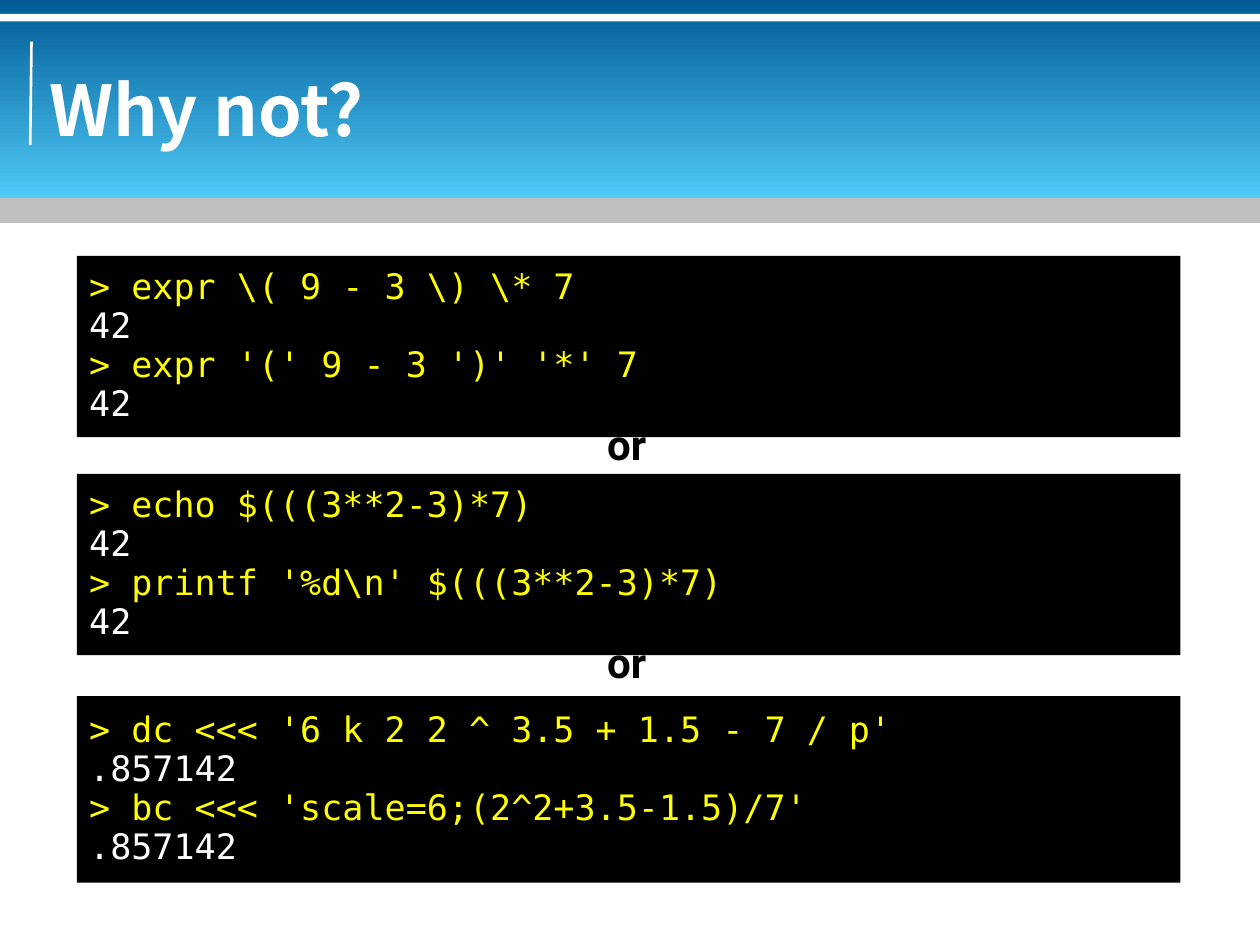
from pptx import Presentation
from pptx.dml.color import RGBColor
from pptx.enum.shapes import MSO_CONNECTOR, MSO_SHAPE
from pptx.enum.text import MSO_ANCHOR, PP_ALIGN
from pptx.oxml.ns import qn
from pptx.util import Inches, Pt

SLIDE_WIDTH, SLIDE_HEIGHT = Inches(10), Inches(7.5)
LINE_SPACING = 0.93

# Lengths are percentages of the slide's width or height.
TERMINAL_LEFT, TERMINAL_WIDTH = 6.1, 87.6
FIRST_TERMINAL_TOP, TERMINAL_STEP = 27.07, 23.07
FIRST_OR_TOP = 44.13

SESSIONS = [
    (0, 19.2, [(r"> expr \( 9 - 3 \) \* 7", "42"),
               ("> expr '(' 9 - 3 ')' '*' 7", "42")]),
    (1, 19.2, [("> echo $(((3**2-3)*7)", "42"),
               (r"> printf '%d\n' $(((3**2-3)*7)", "42")]),
    (2.02, 19.73, [("> dc <<< '6 k 2 2 ^ 3.5 + 1.5 - 7 / p'", ".857142"),
                   ("> bc <<< 'scale=6;(2^2+3.5-1.5)/7'", ".857142")]),
]


def across(share):
    return round(SLIDE_WIDTH * share / 100)


def down(share):
    return round(SLIDE_HEIGHT * share / 100)


def area(left, top, width, height):
    return across(left), down(top), across(width), down(height)


def color(hex_value):
    return RGBColor.from_string(hex_value)


def style_paragraph(paragraph, text, font_name, size, hex_value, bold=False):
    paragraph.text = text
    paragraph.alignment = PP_ALIGN.LEFT
    paragraph.line_spacing = LINE_SPACING
    font = paragraph.font
    font.name, font.size, font.bold = font_name, Pt(size), bold
    font.color.rgb = color(hex_value)


def add_band(slide, bounds, *fills):
    """Add a borderless rectangle; two fills make a top-to-bottom gradient."""
    band = slide.shapes.add_shape(MSO_SHAPE.RECTANGLE, *area(*bounds))
    band.shadow.inherit = False
    band.line.fill.background()
    if len(fills) == 1:
        band.fill.solid()
        band.fill.fore_color.rgb = color(fills[0])
    else:
        band.fill.gradient()
        band.fill.gradient_angle = 270
        for position, (stop, fill) in enumerate(zip(band.fill.gradient_stops, fills)):
            stop.position = position
            stop.color.rgb = color(fill)
    return band


def add_rule(slide, start, end):
    rule = slide.shapes.add_connector(
        MSO_CONNECTOR.STRAIGHT,
        across(start[0]), down(start[1]), across(end[0]), down(end[1]))
    rule.line.color.rgb = color("FFFFFF")
    rule.line.width = Pt(1.5)
    properties = rule._element.spPr
    properties.append(properties.makeelement(qn("a:effectLst"), {}))


def add_title(slide, text):
    frame = slide.shapes.add_textbox(*area(3.9, 7.33, 93.7, 9.33)).text_frame
    frame.word_wrap = True
    frame.vertical_anchor = MSO_ANCHOR.MIDDLE
    frame.margin_left = frame.margin_right = 0
    frame.margin_top = frame.margin_bottom = 0
    style_paragraph(frame.paragraphs[0], text, "Noto Sans CJK SC", 40, "FFFFFF", True)


def add_terminal(slide, top, height, session):
    terminal = add_band(slide, (TERMINAL_LEFT, top, TERMINAL_WIDTH, height), "000000")
    frame = terminal.text_frame
    frame.word_wrap = True
    frame.vertical_anchor = MSO_ANCHOR.MIDDLE
    lines = [line for command, output in session
             for line in ((command, "FFFF00"), (output, "FFFFFF"))]
    for index, (text, hex_value) in enumerate(lines):
        paragraph = frame.add_paragraph() if index else frame.paragraphs[0]
        style_paragraph(paragraph, text, "DejaVu Sans Mono", 20, hex_value)


def add_or(slide, top):
    frame = slide.shapes.add_textbox(*area(47.2, top, 5.5, 7.07)).text_frame
    frame.word_wrap = True
    style_paragraph(frame.paragraphs[0], "or", "Roboto", 24, "000000", True)


def main():
    presentation = Presentation()
    presentation.slide_width = SLIDE_WIDTH
    presentation.slide_height = SLIDE_HEIGHT
    slide = presentation.slides.add_slide(presentation.slide_layouts[6])

    add_band(slide, (0, 0, 100, 20.93), "005B96", "4FC9F5")
    add_band(slide, (0, 1.47, 100, 0.8), "FFFFFF")
    add_rule(slide, (2.4, 15.33), (2.5, 4.4))
    add_band(slide, (0, 20.93, 100, 2.67), "C0C0C0")
    add_title(slide, "Why not?")

    for step, height, session in SESSIONS:
        add_terminal(slide, FIRST_TERMINAL_TOP + step * TERMINAL_STEP, height, session)
    for gap in range(len(SESSIONS) - 1):
        add_or(slide, FIRST_OR_TOP + gap * TERMINAL_STEP)

    presentation.save("out.pptx")


if __name__ == "__main__":
    main()
